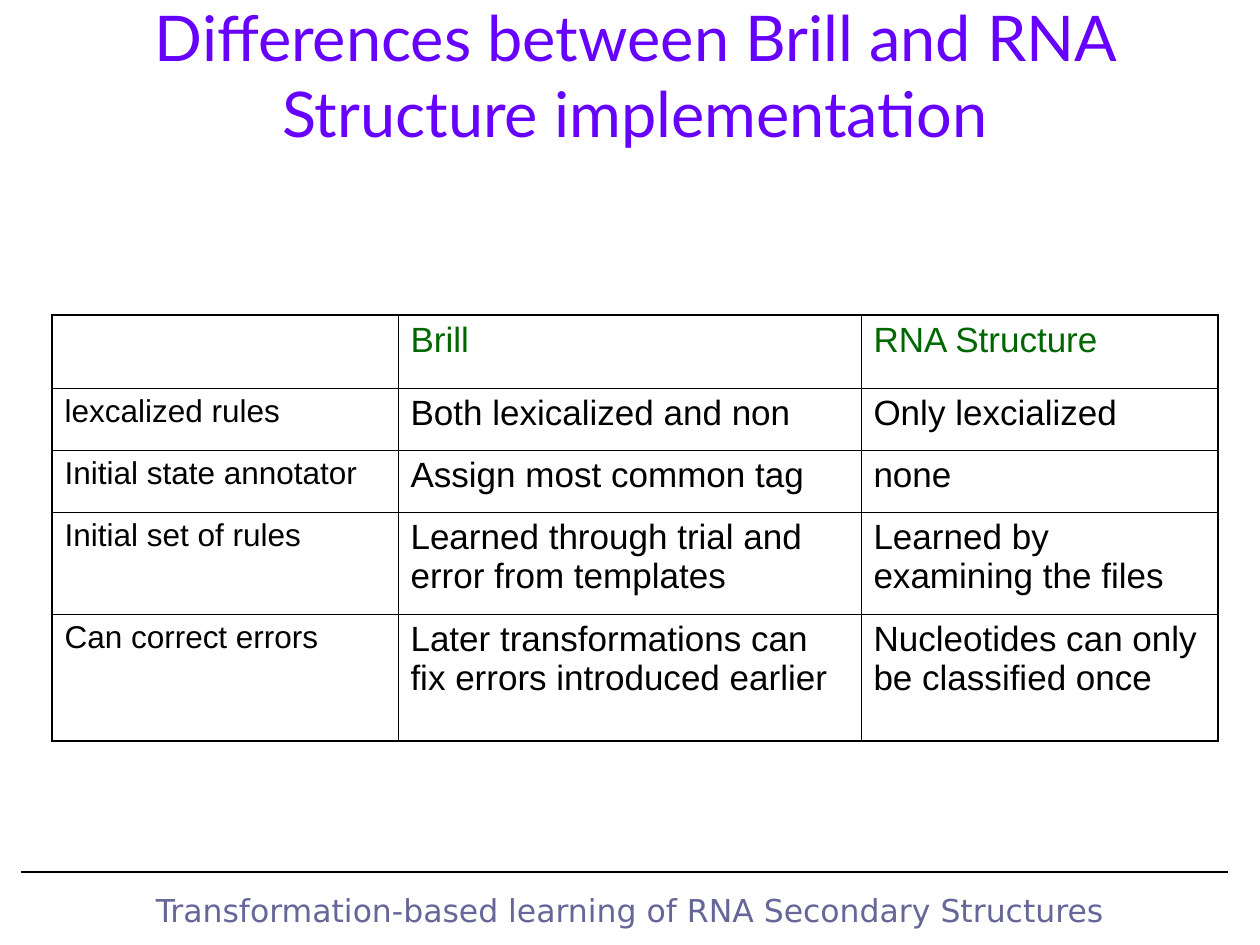
from dataclasses import dataclass

from lxml import etree
from pptx import Presentation
from pptx import util as u
from pptx.dml.color import RGBColor
from pptx.enum import shapes, text
from pptx.oxml.ns import qn

PX = 914400 / 126  # EMU in one px


@dataclass(frozen=True)
class Font:
    name: str
    size: int
    color: str


@dataclass(frozen=True)
class Theme:
    title: Font = Font("Lato", 36, "6600FF")
    foot: Font = Font("DejaVu Sans", 18, "666699")
    head: Font = Font("Arial", 20, "006600")
    label: Font = Font("Arial", 18, "000000")
    body: Font = Font("Arial", 20, "000000")
    line: str = "000000"
    rule: float = 0.75
    thin: float = 0.45
    thick: float = 1.08


@dataclass(frozen=True)
class Box:
    x: int
    y: int
    w: int
    h: int

    def emu(self) -> list[u.Emu]:
        return [emu(n) for n in (self.x, self.y, self.w, self.h)]


@dataclass(frozen=True)
class Label:
    words: str
    box: Box
    font: Font
    fit: text.MSO_AUTO_SIZE
    anchor: text.MSO_ANCHOR


THEME = Theme()
LABELS = [
    Label("Transformation-based learning of RNA Secondary Structures",
          Box(42, 885, 1176, 50), THEME.foot,
          text.MSO_AUTO_SIZE.SHAPE_TO_FIT_TEXT, text.MSO_ANCHOR.TOP),
    Label("Differences between Brill and RNA Structure implementation",
          Box(84, 32, 1102, 84), THEME.title,
          text.MSO_AUTO_SIZE.NONE, text.MSO_ANCHOR.MIDDLE),
]
COLS = [346, 463, 357]
ROWS = [73, 62, 62, 102, 127]
GRID = Box(52, 315, sum(COLS), sum(ROWS))
CELLS = [
    ("", "Brill", "RNA Structure"),
    ("lexcalized rules", "Both lexicalized and non", "Only lexcialized"),
    ("Initial state annotator", "Assign most common tag", "none"),
    ("Initial set of rules", "Learned through trial and error from templates",
     "Learned by examining the files"),
    ("Can correct errors",
     "Later transformations can fix errors introduced earlier",
     "Nucleotides can only be classified once"),
]


def emu(px: int) -> u.Emu:
    return u.Emu(round(px * PX))


def write(para, words: str, font: Font) -> None:
    run = para.add_run()
    run.text = words
    run.font.name = font.name
    run.font.size = u.Pt(font.size)
    run.font.color.rgb = RGBColor.from_string(font.color)


def add_label(slide, label: Label) -> None:
    frame = slide.shapes.add_textbox(*label.box.emu()).text_frame
    frame.word_wrap = True
    frame.auto_size = label.fit
    frame.vertical_anchor = label.anchor
    para = frame.paragraphs[0]
    para.alignment = text.PP_ALIGN.CENTER
    write(para, label.words, label.font)


def add_rule(slide, x: int, y: int, end: int) -> None:
    rule = slide.shapes.add_connector(
        shapes.MSO_CONNECTOR.STRAIGHT, emu(x), emu(y), emu(end), emu(y))
    rule.line.color.rgb = RGBColor.from_string(THEME.line)
    rule.line.width = u.Pt(THEME.rule)
    etree.SubElement(rule._element.spPr, qn("a:effectLst"))


def add_edge(cell, side: str, width: float) -> None:
    props = cell._tc.get_or_add_tcPr()
    edge = etree.SubElement(props, qn(f"a:ln{side}"), w=str(u.Pt(width)))
    fill = etree.SubElement(edge, qn("a:solidFill"))
    etree.SubElement(fill, qn("a:srgbClr"), val=THEME.line)


def add_grid(slide) -> None:
    table = slide.shapes.add_table(
        len(ROWS), len(COLS), *GRID.emu()).table
    table.first_row = table.horz_banding = False
    for col, width in zip(table.columns, COLS):
        col.width = emu(width)
    for row, height in zip(table.rows, ROWS):
        row.height = emu(height)
    for r, line in enumerate(CELLS):
        for c, words in enumerate(line):
            cell = table.cell(r, c)
            # Outer edges are thick, inner ones thin
            outer = {"L": c == 0, "R": c == len(COLS) - 1,
                     "T": r == 0, "B": r == len(ROWS) - 1}
            for side, thick in outer.items():
                add_edge(cell, side, THEME.thick if thick else THEME.thin)
            cell.fill.background()
            font = (THEME.head if r == 0 else
                    THEME.label if c == 0 else THEME.body)
            if words:
                write(cell.text_frame.paragraphs[0], words, font)


def main() -> None:
    deck = Presentation()
    deck.slide_width, deck.slide_height = emu(1260), emu(945)
    slide = deck.slides.add_slide(deck.slide_layouts[6])
    # Footer rule, then footer and title
    add_rule(slide, 21, 872, 1228)
    for label in LABELS:
        add_label(slide, label)
    # Comparison table
    add_grid(slide)
    deck.save("out.pptx")


if __name__ == "__main__":
    main()
